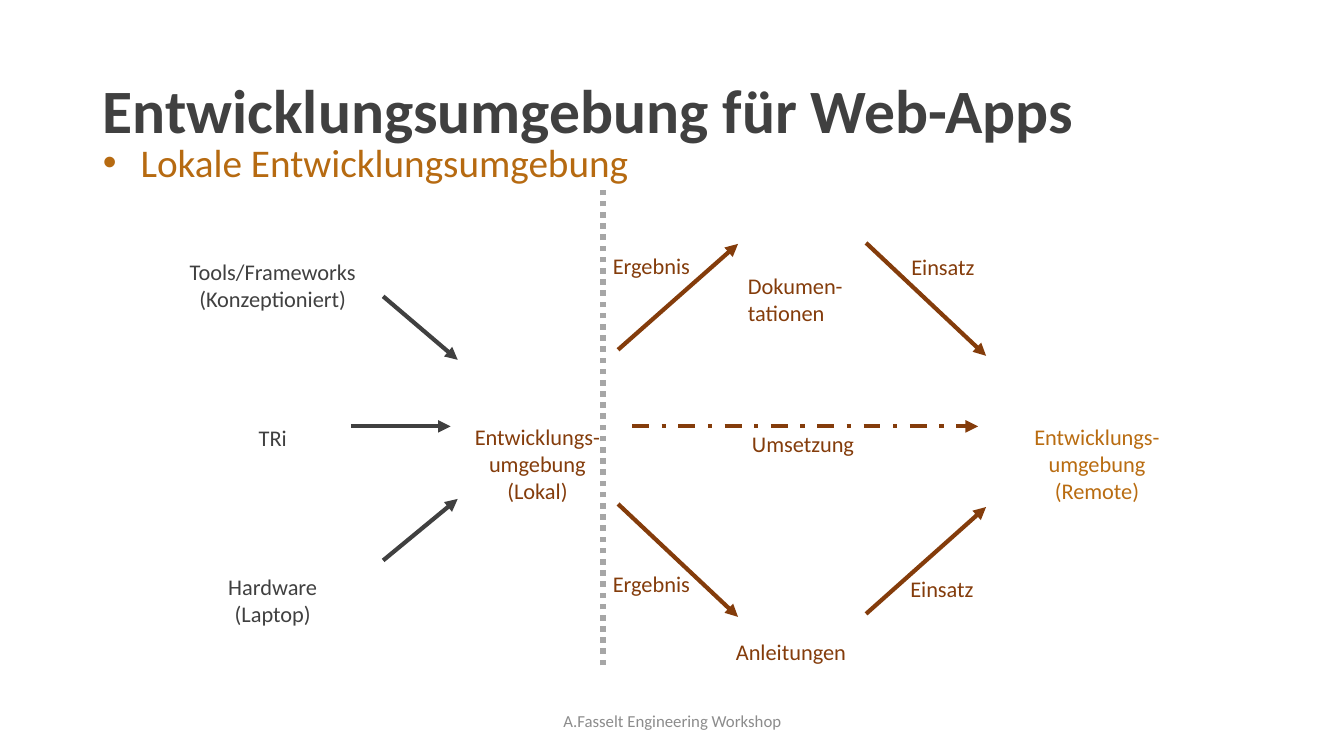
import pptx
import pptx.util
import pptx.dml.color
import pptx.enum.dml
import pptx.enum.shapes
import pptx.enum.text
import pptx.oxml.ns
import lxml.etree
from dataclasses import dataclass

Inches = pptx.util.Inches
Align = pptx.enum.text.PP_ALIGN
Anchor = pptx.enum.text.MSO_ANCHOR
Dash = pptx.enum.dml.MSO_LINE


@dataclass(frozen=True)
class Theme:
    font: str = "Calibri"
    dark: str = "404040"
    brown: str = "843C0B"
    amber: str = "B96C11"
    subtitle: str = "B66A11"
    divider: str = "A6A6A6"
    muted: str = "8C8C8C"
    title_size: int = 44
    subtitle_size: int = 28
    label_size: int = 16
    footer_size: int = 12
    arrow_width: int = 3
    divider_width: int = 4


@dataclass(frozen=True)
class Box:
    left: float
    top: float
    width: float
    height: float

    def inner(self, left, top, width, height):
        return Box(self.left + left, self.top + top, width, height)


THEME = Theme()


def rgb(color):
    return pptx.dml.color.RGBColor.from_string(color)


def add_xml(parent, tag, **attributes):
    return lxml.etree.SubElement(parent, pptx.oxml.ns.qn(tag), attributes)


def place(shape, box):
    shape.left, shape.top = Inches(box.left), Inches(box.top)
    shape.width, shape.height = Inches(box.width), Inches(box.height)


def write(shape, lines, size=THEME.label_size, color=THEME.dark, bold=False,
          align=Align.LEFT, anchor=Anchor.TOP, wrap=True, spacing=1.0):
    frame = shape.text_frame
    frame.word_wrap = wrap
    frame.auto_size = pptx.enum.text.MSO_AUTO_SIZE.NONE
    frame.vertical_anchor = anchor
    frame.text = lines
    for paragraph in frame.paragraphs:
        paragraph.alignment = align
        paragraph.line_spacing = spacing
        paragraph.space_before = pptx.util.Pt(0)
        for run in paragraph.runs:
            run.font.name = THEME.font
            run.font.size = pptx.util.Pt(size)
            run.font.bold = bold
            run.font.color.rgb = rgb(color)


def label(slide, box, lines, **style):
    write(slide.shapes.add_textbox(Inches(box.left), Inches(box.top),
                                   Inches(box.width), Inches(box.height)),
          lines, **style)


def draw_line(slide, box, start, end, color, width=THEME.arrow_width,
              dash=None, arrow=True):
    connector = slide.shapes.add_connector(
        pptx.enum.shapes.MSO_CONNECTOR.STRAIGHT,
        Inches(box.left + start[0]), Inches(box.top + start[1]),
        Inches(box.left + end[0]), Inches(box.top + end[1]))
    connector.line.color.rgb = rgb(color)
    connector.line.width = pptx.util.Pt(width)
    if dash:
        connector.line.dash_style = dash
    if arrow:
        add_xml(connector.line._get_or_add_ln(), "a:tailEnd", type="triangle")
    add_xml(connector._element.spPr, "a:effectLst")


def heading(slide, box):
    title, subtitle = slide.shapes.title, slide.placeholders[1]
    place(title, box.inner(0, 0, box.width, 1.45))
    write(title, "Entwicklungsumgebung für Web-Apps", size=THEME.title_size,
          bold=True, anchor=Anchor.MIDDLE, spacing=0.9)
    place(subtitle, box.inner(0, 0.97, box.width, 0.55))
    properties = subtitle.text_frame.paragraphs[0]._p.get_or_add_pPr()
    properties.set("marL", "0")
    properties.set("indent", "0")
    add_xml(properties, "a:buNone")
    write(subtitle, "Lokale Entwicklungsumgebung", size=THEME.subtitle_size,
          color=THEME.subtitle, spacing=0.9)


def inputs(slide, box):
    sources = [("Tools/Frameworks\n(Konzeptioniert)", 0, 0.64),
               ("TRi", 1.65, 0.37),
               ("Hardware\n(Laptop)", 3.13, 0.64)]
    for name, top, height in sources:
        label(slide, box.inner(0, top, 1.93, height), name, align=Align.CENTER)
    for start, end in [((2.06, 0.43), (2.8, 1.06)),
                       ((1.74, 1.72), (2.73, 1.72)),
                       ((2.06, 3.05), (2.8, 2.44))]:
        draw_line(slide, box, start, end, THEME.dark)


def environments(slide, box):
    for place_name, left, color in [("Lokal", 0, THEME.brown),
                                    ("Remote", box.width - 1.58, THEME.amber)]:
        label(slide, box.inner(left, 0, 1.58, box.height),
              f"Entwicklungs-umgebung\n({place_name})",
              color=color, align=Align.CENTER)


def results(slide, box):
    for start, end in [((0.15, 1.06), (1.34, 0.01)),
                       ((0.15, 2.59), (1.34, 3.71)),
                       ((2.61, 0), (3.8, 1.12)),
                       ((2.61, 3.68), (3.8, 2.62))]:
        draw_line(slide, box, start, end, THEME.brown)
    draw_line(slide, box, (0.29, 1.82), (3.72, 1.82), THEME.brown,
              dash=Dash.DASH_DOT)
    for name, left, top, width in [("Ergebnis", 0, 0.04, 1),
                                   ("Ergebnis", 0, 3.2, 1),
                                   ("Einsatz", 2.96, 0.05, 0.84),
                                   ("Einsatz", 2.95, 3.25, 0.85),
                                   ("Umsetzung", 1.38, 1.81, 1.23),
                                   ("Anleitungen", 1.22, 3.87, 1.32)]:
        label(slide, box.inner(left, top, width, 0.37), name,
              color=THEME.brown, wrap=False)
    label(slide, box.inner(1.34, 0.24, 1.22, 0.64), "Dokumen-tationen",
          color=THEME.brown)


def divider(slide, box):
    draw_line(slide, box, (0, box.height), (0, 0), THEME.divider,
              width=THEME.divider_width, dash=Dash.ROUND_DOT, arrow=False)


def footer(slide, box):
    label(slide, box, "A.Fasselt Engineering Workshop", size=THEME.footer_size,
          color=THEME.muted, align=Align.CENTER, anchor=Anchor.MIDDLE)


def main():
    deck = pptx.Presentation()
    deck.slide_width, deck.slide_height = Inches(13.33), Inches(7.5)
    slide = deck.slides.add_slide(deck.slide_layouts[1])
    heading(slide, Box(0.92, 0.4, 11.5, 1.52))
    footer(slide, Box(4.42, 6.95, 4.5, 0.4))
    environments(slide, Box(4.54, 4.15, 7.13, 0.91))
    inputs(slide, Box(1.74, 2.51, 2.8, 3.77))
    results(slide, Box(5.98, 2.41, 3.8, 4.24))
    divider(slide, Box(5.98, 1.84, 0, 4.76))
    deck.save("out.pptx")


if __name__ == "__main__":
    main()
